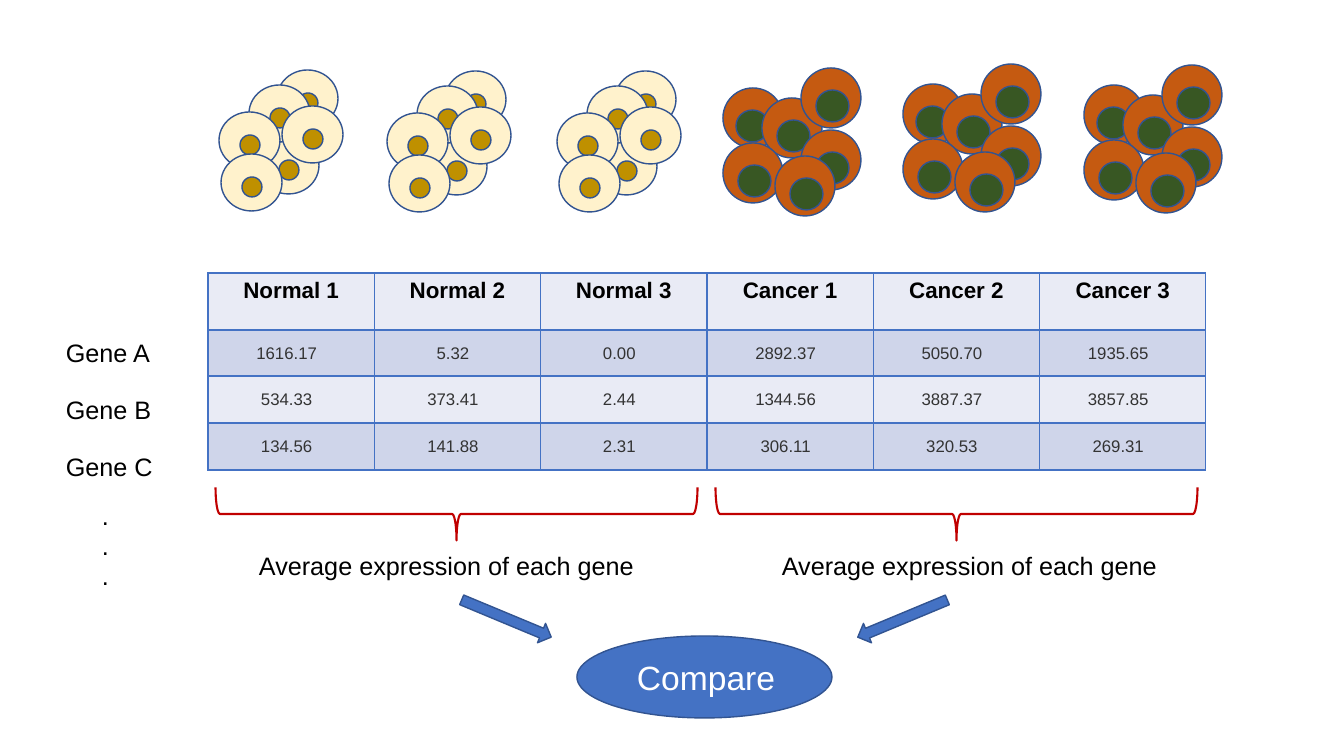
from lxml.etree import SubElement as sub
from pptx import Presentation
from pptx.dml.color import RGBColor as RGB
from pptx.enum.shapes import MSO_SHAPE as SHAPE
from pptx.enum.text import MSO_ANCHOR as ANCHOR, PP_ALIGN as ALIGN
from pptx.oxml.ns import qn
from pptx.util import Emu, Pt

PX = 914400 / 100.8
BLACK, WHITE, GREY = RGB(0, 0, 0), RGB(255, 255, 255), RGB(0x33, 0x33, 0x33)
BLUE, NAVY, RED = RGB(0x44, 0x72, 0xC4), RGB(0x32, 0x54, 0x91), RGB(0xC0, 0, 0)
CREAM, GOLD = RGB(0xFF, 0xF2, 0xCC), RGB(0xBF, 0x90, 0)
RUST, GREEN = RGB(0xC5, 0x5A, 0x11), RGB(0x38, 0x57, 0x23)
PALE, MIST = RGB(0xE9, 0xEB, 0xF5), RGB(0xCF, 0xD5, 0xEA)

deck = Presentation()
deck.slide_width, deck.slide_height = Emu(12192000), Emu(6858000)
slide = deck.slides.add_slide(deck.slide_layouts[6])


def draw(home, kind, box, fill, line=NAVY, width=1, turn=0):
    """Add a preset shape to home; box is left, top, width, height in pixels."""
    shape = home.add_shape(kind, *[Emu(round(n * PX)) for n in box])
    shape.shadow.inherit = False
    if fill is None:
        shape.fill.background()
    else:
        shape.fill.solid()
        shape.fill.fore_color.rgb = fill
    shape.line.color.rgb = line
    shape.line.width = Pt(width)
    shape.rotation = turn


def write(para, text, size, color, bold=False):
    """Add one Arial run to a paragraph."""
    run = para.add_run()
    run.text = text
    font = run.font
    font.name, font.size, font.bold = "Arial", Pt(size), bold
    font.color.rgb = color


draw(slide.shapes, SHAPE.OVAL, (577, 636, 255, 82), BLUE)

# Cell clusters: each spot is the cell's x and y, then the inset of its nucleus
normal = [(39, 67, 21), (58, 0, 21), (30, 15, 21), (0, 42, 21), (63, 36, 21), (2, 84, 21)]
cancer = [(0, 20, 13), (39, 30, 15), (78, 0, 15), (78, 62, 15), (0, 75, 15), (52, 88, 15)]
kinds = [
    (normal, [(219, 70), (387, 71), (557, 71)], (61, 57), (20, 20), 23, CREAM, GOLD),
    (cancer, [(723, 68), (903, 64), (1084, 65)], (60, 60), (33, 32), 22, RUST, GREEN),
]
for spots, homes, body, core, drop, skin, heart in kinds:
    for left, top in homes:
        group = slide.shapes.add_group_shape().shapes
        for x, y, inset in spots:
            draw(group, SHAPE.OVAL, (left + x, top + y, *body), skin)
            draw(group, SHAPE.OVAL, (left + x + inset, top + y + drop, *core), heart)

# Expression table
rows = [
    ["Normal 1", "Normal 2", "Normal 3", "Cancer 1", "Cancer 2", "Cancer 3"],
    ["1616.17", "5.32", "0.00", "2892.37", "5050.70", "1935.65"],
    ["534.33", "373.41", "2.44", "1344.56", "3887.37", "3857.85"],
    ["134.56", "141.88", "2.31", "306.11", "320.53", "269.31"],
]
tall = [57, 46, 47, 47]
wide = 998
frame = [Emu(round(n * PX)) for n in (208, 273, wide, sum(tall))]
table = slide.shapes.add_table(len(rows), len(rows[0]), *frame).table
for col in table.columns:
    col.width = Emu(round(wide * PX / len(rows[0])))
for r, row in enumerate(rows):
    table.rows[r].height = Emu(round(tall[r] * PX))
    for c, text in enumerate(row):
        cell = table.cell(r, c)
        props = cell._tc.get_or_add_tcPr()
        for side in ("a:lnL", "a:lnR", "a:lnT", "a:lnB"):
            edge = sub(props, qn(side), w=str(Pt(1)))
            sub(sub(edge, qn("a:solidFill")), qn("a:srgbClr"), val=str(BLUE))
        cell.fill.solid()
        cell.fill.fore_color.rgb = MIST if r % 2 else PALE
        para = cell.text_frame.paragraphs[0]
        para.alignment = ALIGN.CENTER
        if r == 0:
            write(para, text, 16, BLACK, True)
        else:
            cell.vertical_anchor = ANCHOR.MIDDLE
            cell.margin_left = cell.margin_top = Emu(round(PX))
            cell.margin_right, cell.margin_bottom = Emu(round(10 * PX)), 0
            write(para, text, 12, GREY)

# Braces and arrows
for left in (430, 930):
    draw(slide.shapes, SHAPE.RIGHT_BRACE, (left, 273, 53, 482), None, RED, 1.5, 90)
for left, turn in ((458, 22.6), (854, 157.4)):
    draw(slide.shapes, SHAPE.RIGHT_ARROW, (left, 608, 97, 21), BLUE, turn=turn)

# Labels
mean = "Average expression of each gene"
labels = [
    ("Gene A", (56, 332, 107, 40), 18, BLACK, False),
    ("Gene B", (56, 389, 107, 40), 18, BLACK, False),
    ("Gene C", (56, 446, 107, 40), 18, BLACK, False),
    (".\n.\n.", (92, 495, 27, 102), 18, BLACK, False),
    (mean, (249, 545, 411, 40), 18, BLACK, True),
    (mean, (772, 545, 412, 40), 18, BLACK, True),
    ("Compare", (627, 652, 175, 50), 24, WHITE, True),
]
for text, box, size, color, wrap in labels:
    frame = slide.shapes.add_textbox(*[Emu(round(n * PX)) for n in box]).text_frame
    frame.word_wrap = wrap
    para = frame.paragraphs[0]
    for i, line in enumerate(text.split("\n")):
        if i:
            para.add_line_break()
        write(para, line, size, color)

deck.save("out.pptx")
